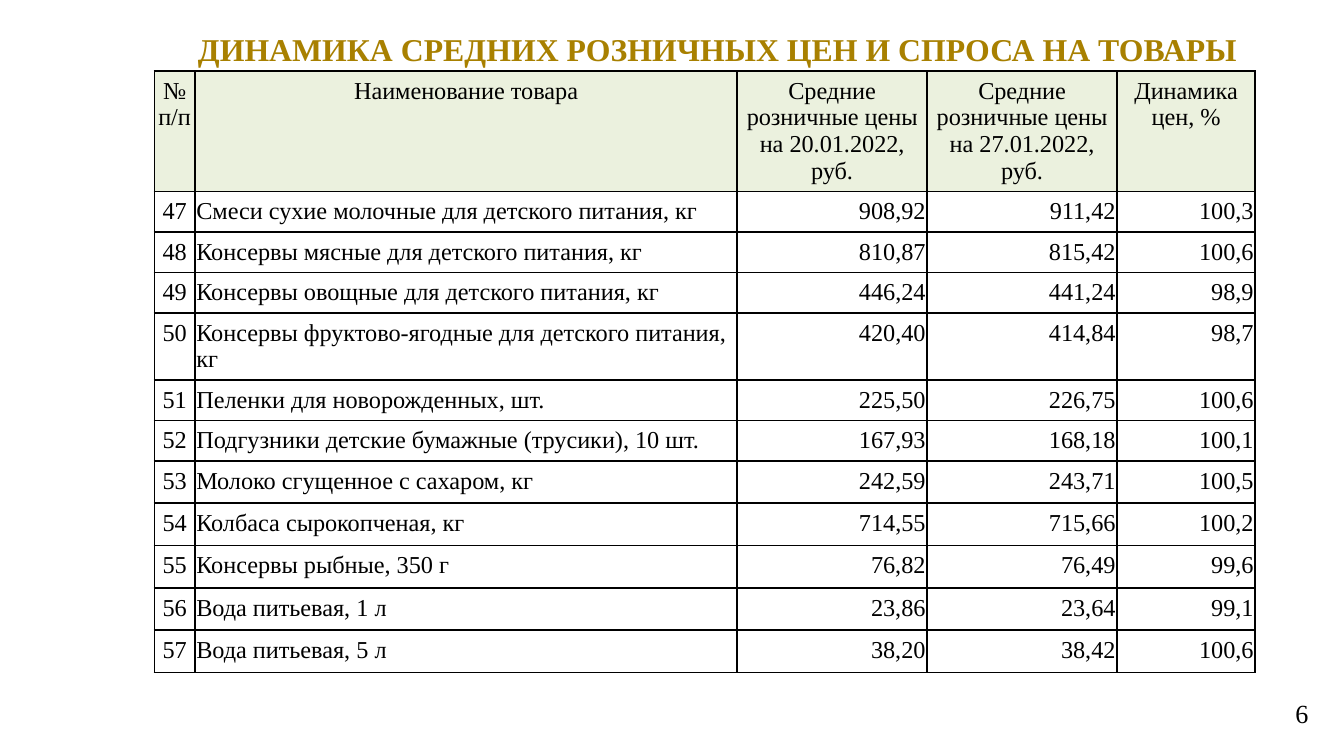
"""Build the slide with average retail prices of goods and their change."""
from dataclasses import astuple, dataclass
from typing import Optional

from lxml import etree
from pptx import Presentation
from pptx import util as u
from pptx.dml.color import RGBColor
from pptx.enum import text
from pptx.oxml import ns

COLORS = {"title": "A88000", "text": "000000", "line": "000000",
          "head": "EBF1DE", "cell": "FFFFFF"}
FONT = "Times New Roman"
LEFT, CENTER, RIGHT = text.PP_ALIGN.LEFT, text.PP_ALIGN.CENTER, text.PP_ALIGN.RIGHT


@dataclass
class Column:
    head: str
    width: float
    align: text.PP_ALIGN


@dataclass
class Good:
    number: str
    name: str
    old_price: str
    new_price: str
    change: str
    height: float = 0.76


COLUMNS = [
    Column("№ п/п", 0.76, CENTER),
    Column("Наименование товара", 10.25, LEFT),
    Column("Средние розничные цены на 20.01.2022, руб.", 3.59, RIGHT),
    Column("Средние розничные цены на 27.01.2022, руб.", 3.59, RIGHT),
    Column("Динамика цен, %", 2.61, RIGHT),
]
GOODS = [
    Good("47", "Смеси сухие молочные для детского питания, кг", "908,92", "911,42", "100,3"),
    Good("48", "Консервы мясные для детского питания, кг", "810,87", "815,42", "100,6"),
    Good("49", "Консервы овощные для детского питания, кг", "446,24", "441,24", "98,9"),
    Good("50", "Консервы фруктово-ягодные для детского питания, кг",
         "420,40", "414,84", "98,7", 1.27),
    Good("51", "Пеленки для новорожденных, шт.", "225,50", "226,75", "100,6"),
    Good("52", "Подгузники детские бумажные (трусики), 10 шт.", "167,93", "168,18", "100,1"),
    Good("53", "Молоко сгущенное с сахаром, кг", "242,59", "243,71", "100,5", 0.8),
    Good("54", "Колбаса сырокопченая, кг", "714,55", "715,66", "100,2", 0.8),
    Good("55", "Консервы рыбные, 350 г", "76,82", "76,49", "99,6", 0.8),
    Good("56", "Вода питьевая, 1 л", "23,86", "23,64", "99,1", 0.8),
    Good("57", "Вода питьевая, 5 л", "38,20", "38,42", "100,6", 0.8),
]
HEAD_HEIGHT = 2.27


def write(tf, content: str, *, size: float, color: str = "text",
          align: text.PP_ALIGN = LEFT, bold: bool = False,
          line: Optional[float] = None) -> None:
    """Put one formatted paragraph into a text frame."""
    p = tf.paragraphs[0]
    p.alignment = align
    if line:
        p.line_spacing = u.Pt(line)
    r = p.add_run()
    r.text = content
    r.font.name, r.font.size, r.font.bold = FONT, u.Pt(size), bold
    r.font.color.rgb = RGBColor.from_string(COLORS[color])


def set_borders(cell, width: float = 0.96) -> None:
    """Draw a thin line on all four sides of a cell."""
    tc_pr = cell._tc.get_or_add_tcPr()
    for side in ("a:lnL", "a:lnR", "a:lnT", "a:lnB"):
        ln = etree.SubElement(tc_pr, ns.qn(side), w=str(u.Pt(width)))
        fill = etree.SubElement(ln, ns.qn("a:solidFill"))
        etree.SubElement(fill, ns.qn("a:srgbClr"), val=COLORS["line"])


def fill_cell(cell, content: str, align: text.PP_ALIGN, fill: str) -> None:
    """Format one table cell and write its text."""
    cell.margin_left = cell.margin_right = u.Cm(0.03)
    cell.margin_top = cell.margin_bottom = u.Cm(0.13)
    set_borders(cell)
    cell.fill.solid()
    cell.fill.fore_color.rgb = RGBColor.from_string(COLORS[fill])
    write(cell.text_frame, content, size=13, align=align, line=14.3)


def add_price_table(s, left: float, top: float) -> None:
    """Add the table of goods at a place given in centimetres."""
    heights = [HEAD_HEIGHT] + [good.height for good in GOODS]
    width = sum(column.width for column in COLUMNS)
    table = s.shapes.add_table(len(heights), len(COLUMNS), u.Cm(left), u.Cm(top),
                               u.Cm(width), u.Cm(sum(heights))).table
    table.horz_banding = False
    for row, height in zip(table.rows, heights):
        row.height = u.Cm(height)
    for j, column in enumerate(COLUMNS):
        table.columns[j].width = u.Cm(column.width)
        fill_cell(table.cell(0, j), column.head, CENTER, "head")
        for i, good in enumerate(GOODS, start=1):
            fill_cell(table.cell(i, j), astuple(good)[j], column.align, "cell")


def add_title(s, content: str) -> None:
    """Place and format the title placeholder."""
    sp = s.shapes.title
    sp.left, sp.top, sp.width, sp.height = (u.Cm(v) for v in (2.84, 0.39, 21.89, 1.07))
    tf = sp.text_frame
    tf.auto_size = text.MSO_AUTO_SIZE.NONE
    tf.vertical_anchor = text.MSO_ANCHOR.MIDDLE
    tf.margin_right = u.Cm(0.7)
    write(tf, content, size=17, color="title", align=CENTER, bold=True)


def add_page_number(s, content: str) -> None:
    """Add the page number in the lower right corner."""
    sp = s.shapes.add_textbox(u.Cm(24.23), u.Cm(13.06), u.Cm(0.64), u.Cm(1.17))
    sp.text_frame.word_wrap = True
    write(sp.text_frame, content, size=14, align=RIGHT)


def main() -> None:
    """Build and save the presentation."""
    prs = Presentation()
    prs.slide_width, prs.slide_height = u.Cm(25.4), u.Cm(14.29)
    s = prs.slides.add_slide(prs.slide_layouts[5])
    add_title(s, "ДИНАМИКА СРЕДНИХ РОЗНИЧНЫХ ЦЕН И СПРОСА НА ТОВАРЫ")
    add_page_number(s, "6")
    add_price_table(s, 2.92, 1.34)
    prs.save("out.pptx")


if __name__ == "__main__":
    main()
